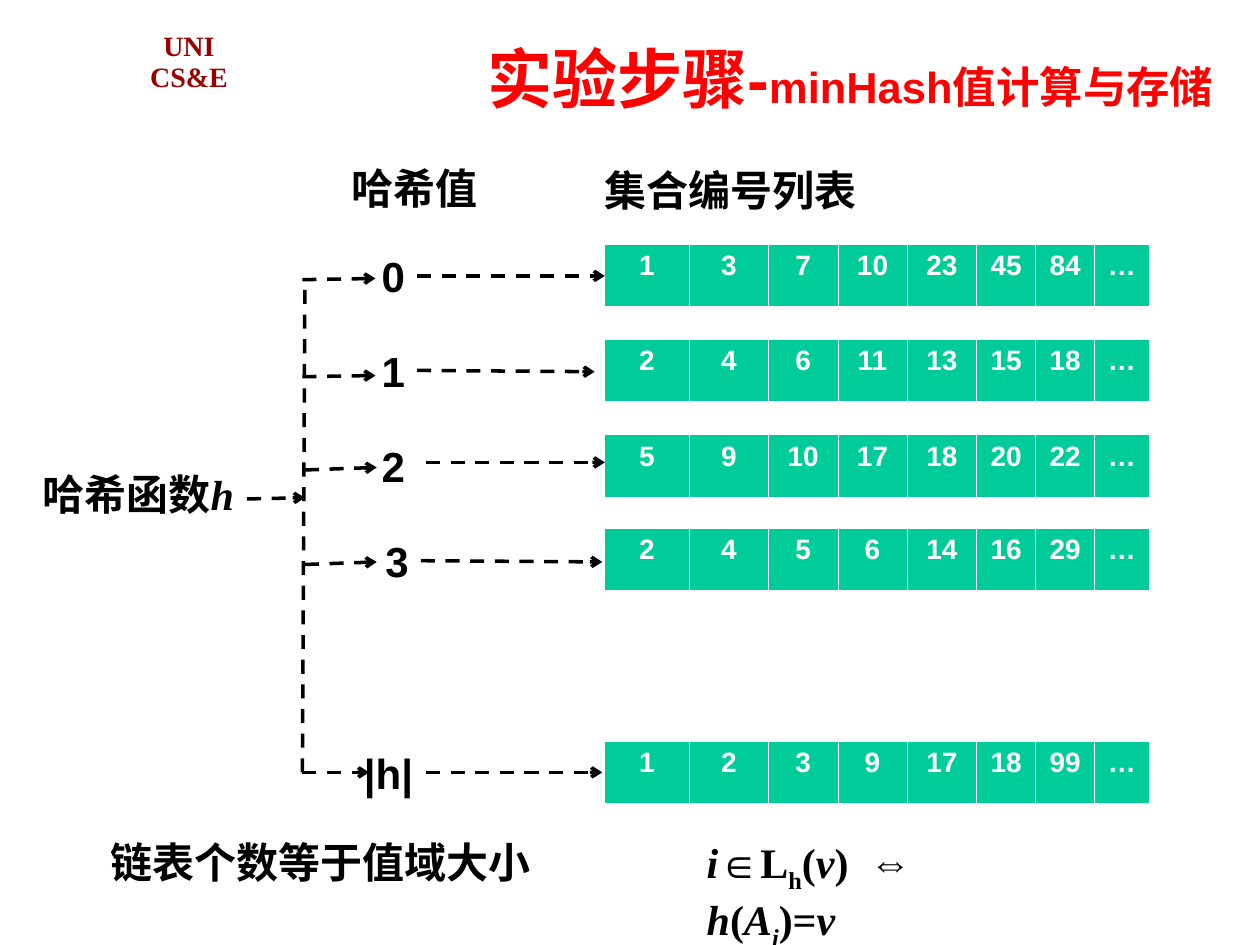
from dataclasses import dataclass

from lxml import etree
from pptx import Presentation
from pptx.dml.color import RGBColor
from pptx.enum.dml import MSO_LINE
from pptx.enum.shapes import MSO_CONNECTOR
from pptx.enum.text import MSO_ANCHOR, PP_ALIGN
from pptx.oxml.ns import qn
from pptx.util import Inches, Pt

STRAIGHT = MSO_CONNECTOR.STRAIGHT
DASH = MSO_LINE.DASH
MIDDLE = MSO_ANCHOR.MIDDLE
LEFT, CENTER, RIGHT = PP_ALIGN.LEFT, PP_ALIGN.CENTER, PP_ALIGN.RIGHT
RIGHT_SIDE = 3


@dataclass(frozen=True)
class Theme:
    """Colours, fonts and type sizes of the slide."""
    ink: RGBColor = RGBColor(0, 0, 0)
    white: RGBColor = RGBColor(255, 255, 255)
    red: RGBColor = RGBColor(255, 0, 0)
    maroon: RGBColor = RGBColor(0x99, 0, 0)
    green: RGBColor = RGBColor(0, 0xCC, 0x99)
    sans: str = "Arial"
    serif: str = "Times New Roman"
    title: float = 37.2
    subtitle: float = 24.8
    body: float = 24
    small: float = 16
    line: float = 2


@dataclass(frozen=True)
class Bucket:
    """One hash value, the places of its arrows and its set numbers."""
    label: str
    box: tuple
    joined: bool
    branch: tuple
    arrow: tuple
    table_top: float
    sets: str


T = Theme()
COLUMNS = (0.67, 0.63, 0.55, 0.55, 0.55, 0.47, 0.47, 0.43)
BUCKETS = (
    Bucket("0", (2.93, 1.94, 0.38, 0.5), True, (2.4, 2.22, 2.98, 2.21),
           (3.32, 2.19, 4.8, 2.19), 1.94, "1 3 7 10 23 45 84 …"),
    Bucket("1", (2.93, 2.69, 0.38, 0.5), True, (2.4, 2.99, 2.98, 2.98),
           (3.3, 2.95, 4.72, 2.95), 2.69, "2 4 6 11 13 15 18 …"),
    Bucket("2", (2.93, 3.45, 0.38, 0.5), False, (2.42, 3.73, 2.99, 3.71),
           (3.38, 3.67, 4.8, 3.67), 3.45, "5 9 10 17 18 20 22 …"),
    Bucket("3", (2.96, 4.2, 0.38, 0.5), True, (2.42, 4.48, 2.99, 4.46),
           (3.36, 4.46, 4.78, 4.46), 4.19, "2 4 5 6 14 16 29 …"),
    Bucket("|h|", (2.79, 5.88, 0.59, 0.5), True, (2.4, 6.13, 2.93, 6.13),
           (3.36, 6.13, 4.78, 6.13), 5.88, "1 2 3 9 17 18 99 …"),
)
FORMULA = (
    ("i", T.serif, True, False), ("∈", T.sans, False, False),
    ("L", T.serif, False, False), ("h", T.serif, False, True),
    ("(", T.serif, False, False), ("v", T.serif, True, False),
    (")  ", T.serif, False, False), ("⇔ ", T.sans, False, False),
    ("h", T.serif, True, False), ("(", T.serif, False, False),
    ("A", T.serif, True, False), ("i", T.serif, True, True),
    (")=", T.serif, False, False), ("v", T.serif, True, False),
)


def style(font, size=T.body, color=T.ink, name=T.sans):
    """Set a bold font."""
    font.name, font.size, font.bold = name, Pt(size), True
    font.color.rgb = color


def add_text(s, box, text="", align=LEFT, wrap=False, **font):
    """Place a text box and return its shape."""
    sp = s.shapes.add_textbox(*map(Inches, box))
    tf = sp.text_frame
    tf.word_wrap = wrap
    p = tf.paragraphs[0]
    p.text, p.alignment = text, align
    style(p.font, **font)
    return sp


def add_dashed(s, ends, arrow=True):
    """Draw a dashed line and return its connector."""
    line = s.shapes.add_connector(STRAIGHT, *map(Inches, ends))
    line.line.color.rgb = T.ink
    line.line.width = Pt(T.line)
    line.line.dash_style = DASH
    if arrow:
        etree.SubElement(line.line._get_or_add_ln(), qn("a:tailEnd"), type="arrow")
    etree.SubElement(line._element.spPr, qn("a:effectLst"))
    return line


def add_borders(cell):
    """Give a cell thin white borders and a thicker one below."""
    tc_pr = cell._tc.get_or_add_tcPr()
    for side, width in (("L", 0.45), ("R", 0.45), ("T", 0.45), ("B", 1.47)):
        ln = etree.SubElement(tc_pr, qn(f"a:ln{side}"), w=str(Pt(width)))
        fill = etree.SubElement(ln, qn("a:solidFill"))
        etree.SubElement(fill, qn("a:srgbClr"), val=str(T.white))


def add_set_list(s, box, values):
    """Place the one-row table of set numbers."""
    table = s.shapes.add_table(1, len(COLUMNS), *map(Inches, box)).table
    table.first_row = table.horz_banding = False
    for column, width, cell, value in zip(table.columns, COLUMNS, table.iter_cells(), values):
        column.width = Inches(width)
        add_borders(cell)
        cell.fill.solid()
        cell.fill.fore_color.rgb = T.green
        p = cell.text_frame.paragraphs[0]
        p.text, p.alignment = value, CENTER
        style(p.font, T.small, T.white)


def add_bucket(s, bucket):
    """Place a hash value with its branch, arrow and list."""
    label = add_text(s, bucket.box, bucket.label)
    add_set_list(s, (4.8, bucket.table_top, sum(COLUMNS), 0.5), bucket.sets.split())
    add_dashed(s, bucket.branch)
    arrow = add_dashed(s, bucket.arrow)
    if bucket.joined:
        arrow.begin_connect(label, RIGHT_SIDE)


def add_header(s, badge_box, title_box):
    """Place the department badge and the slide title."""
    badge = add_text(s, badge_box, "UNI\vCS&E", CENTER, True,
                     size=T.small, color=T.maroon, name=T.serif)
    badge.text_frame.paragraphs[0].line_spacing = 0.95
    title = add_text(s, title_box, "实验步骤-", RIGHT, True, size=T.title, color=T.red)
    r = title.text_frame.paragraphs[0].add_run()
    r.text = "minHash值计算与存储"
    r.font.size = Pt(T.subtitle)
    for sp in (badge, title):
        sp.text_frame.vertical_anchor = MIDDLE


def add_hash_function(s, box):
    """Place the hash function with its arrow and trunk."""
    sp = add_text(s, box, "哈希函数")
    r = sp.text_frame.paragraphs[0].add_run()
    r.text = "h"
    r.font.name, r.font.italic = T.serif, True
    add_dashed(s, (2.4, 6.13, 2.42, 2.24), arrow=False)
    add_dashed(s, (1.96, 3.96, 2.42, 3.95))


def add_formula(s, box):
    """Place the membership rule."""
    p = add_text(s, box, wrap=True).text_frame.paragraphs[0]
    for text, name, italic, lowered in FORMULA:
        r = p.add_run()
        r.text = text
        r.font.name, r.font.italic = name, italic
        if lowered:
            r.font._element.set("baseline", "-25000")


def main():
    """Build the slide and save it."""
    prs = Presentation()
    prs.slide_width, prs.slide_height = Inches(10), Inches(7.5)
    s = prs.slides.add_slide(prs.slide_layouts[6])
    add_header(s, (1, 0.19, 1, 0.61), (2.01, 0.24, 7.72, 0.75))
    add_hash_function(s, (0.24, 3.67, 1.8, 0.5))
    add_text(s, (2.69, 1.24, 1.2, 0.5), "哈希值")
    add_text(s, (4.7, 1.26, 2.2, 0.5), "集合编号列表")
    for bucket in BUCKETS:
        add_bucket(s, bucket)
    add_text(s, (0.78, 6.59, 3.53, 0.5), "链表个数等于值域大小")
    add_formula(s, (5.51, 6.59, 2.81, 0.56))
    prs.save("out.pptx")


if __name__ == "__main__":
    main()
